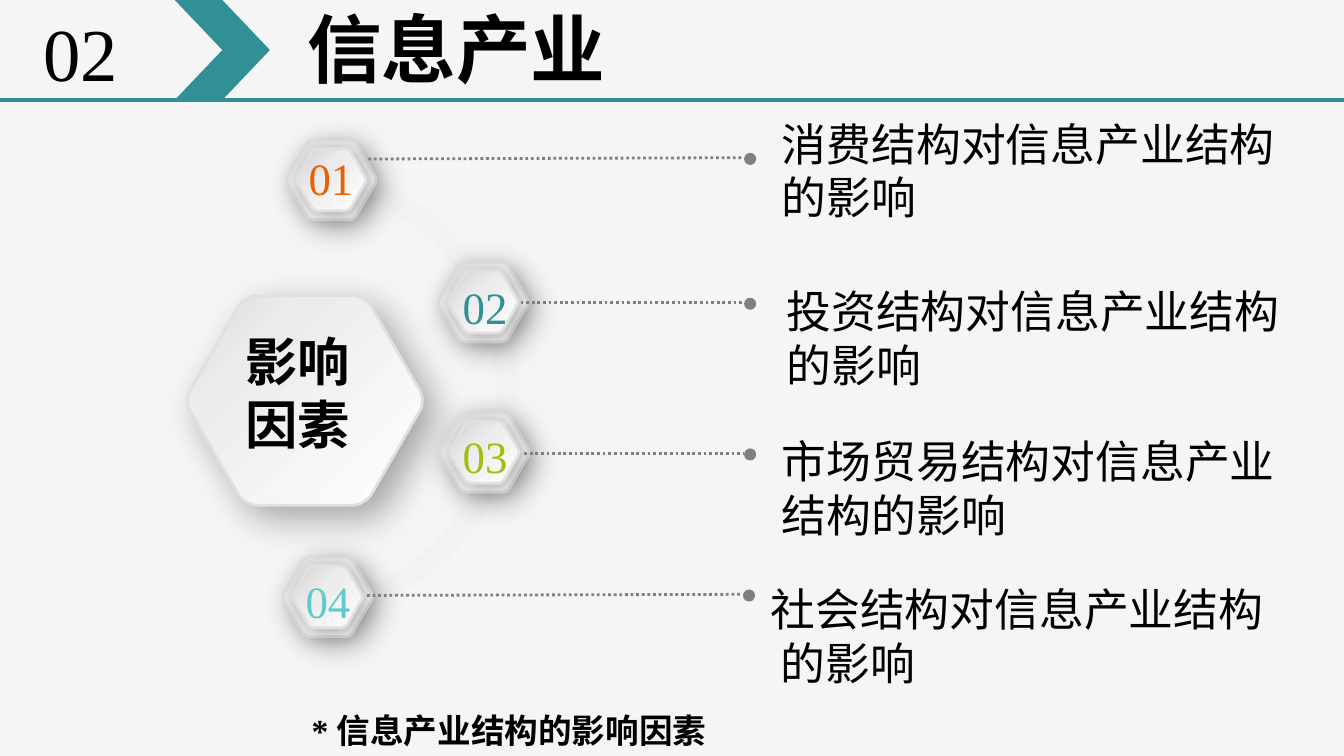
import pptx
import pptx.dml.color
import pptx.enum.dml
import pptx.enum.shapes
import pptx.enum.text
import pptx.oxml
import pptx.oxml.ns
import pptx.util

Pt = pptx.util.Pt
ALIGN = pptx.enum.text.PP_ALIGN
SHAPE = pptx.enum.shapes.MSO_SHAPE

FONT = "Times New Roman"
COLORS = {
    "background": "F5F5F5", "teal": "319095", "black": "000000",
    "orange": "EA6103", "green": "A0BF0D", "aqua": "5FCACB",
    "gray": "808080", "arc": "F2F2F2", "rim": "E0E0E0",
    "white": "FFFFFF", "light": "ECECEC", "shade": "D9D9D9", "deep": "D1D1D1",
}
OUTER_STOPS = [(0, "white"), (73, "light"), (100, "shade")]
INNER_STOPS = [(0, "white"), (60, "light"), (100, "deep")]
DOT_SIZE = 6.5

# badge left, top; label left, top; leader start x, start y, end x, end y;
# text left, top, width; number, colour, lines
FACTORS = [
    ((153.4, 74.9), (151.4, 77.8), (197.3, 85.2, 398.2, 84.5), (411.8, 58.7, 299.5),
     "01", "orange", ["消费结构对信息产业结构的影响"]),
    ((234.7, 140.4), (234, 146.9), (278.9, 162.1, 398.2, 162.1), (414.3, 148.3, 280),
     "02", "teal", ["投资结构对信息产业结构的影响"]),
    ((235.4, 220.9), (234, 226.8), (280.8, 242.8, 398.2, 242.8), (411.8, 229, 293.8),
     "03", "green", ["市场贸易结构对信息产业结构的影响"]),
    ((151.4, 298.3), (149.8, 304.6), (196.6, 319, 397.6, 318.4), (405.7, 308.2, 280.8),
     "04", "aqua", ["社会结构对信息产业结构", " 的影响"]),
]


def rgb(name):
    return pptx.dml.color.RGBColor.from_string(COLORS[name])


def add_xml(parent, xml):
    namespace = pptx.oxml.ns.nsdecls("a")
    tag, rest = xml[1:].split(" ", 1)
    parent.append(pptx.oxml.parse_xml(f"<{tag} {namespace} {rest}"))


def write_text(shape, lines, size, color="black", bold=False,
               align=ALIGN.LEFT, insets=(7.2, 3.6), wrap=True):
    frame = shape.text_frame
    frame.word_wrap = wrap
    frame.vertical_anchor = pptx.enum.text.MSO_ANCHOR.TOP
    frame.margin_left, frame.margin_right = Pt(insets[0]), Pt(5.8)
    frame.margin_top = frame.margin_bottom = Pt(insets[1])
    frame.text = "\n".join(lines)
    for paragraph in frame.paragraphs:
        paragraph.alignment = align
        paragraph.font.name = FONT
        paragraph.font.size = Pt(size)
        paragraph.font.bold = bold
        paragraph.font.color.rgb = rgb(color)


def add_text(slide, box, lines, size, **style):
    shape = slide.shapes.add_textbox(*map(Pt, box))
    write_text(shape, lines, size, **style)
    return shape


def add_line(slide, start, end, color, width):
    line = slide.shapes.add_connector(
        pptx.enum.shapes.MSO_CONNECTOR.STRAIGHT, *map(Pt, start + end))
    line.line.color.rgb = rgb(color)
    line.line.width = Pt(width)
    add_xml(line._element.spPr, "<a:effectLst />")
    return line


def fill_plain(shape, color):
    shape.shadow.inherit = False
    shape.fill.solid()
    shape.fill.fore_color.rgb = rgb(color)
    shape.line.fill.background()


def add_outline(slide, box, start, segments):
    """Closed outline in fractions of the box; one point is a line, three a curve."""
    left, top, width, height = box

    def place(point):
        return Pt(left + point[0] * width), Pt(top + point[1] * height)

    builder = slide.shapes.build_freeform(*place(start))
    builder.add_line_segments([place(p) for s in segments for p in s], close=True)
    shape = builder.convert_to_shape()
    qn = pptx.oxml.ns.qn
    steps = iter(shape._element.spPr.findall(".//" + qn("a:lnTo")))
    for segment in segments:
        first, *others = [next(steps) for _ in segment]
        if others:
            first.tag = qn("a:cubicBezTo")
            for step in others:
                first.append(step[0])
                step.getparent().remove(step)
    return shape


def add_hexagon(slide, box, stops, alpha, blur, distance):
    """Raised hexagon with rounded corners, lit from the lower right."""
    upper = [(0.7, 0), (0.73, 0), (0.765, 0.025), (0.78, 0.05)]
    side = [(0.985, 0.45), (1, 0.475), (1, 0.525), (0.985, 0.55)]
    right = [upper, side, [(x, 1 - y) for x, y in reversed(upper)]]
    left = [[(1 - x, 1 - y) for x, y in corner] for corner in right]
    segments = []
    for corner in right + left:
        segments += [[corner[0]] * 3, corner[1:]]
    shape = add_outline(slide, box, upper[0], segments[1:])
    shape.rotation = 180
    shape.line.color.rgb = rgb("rim")
    shape.line.width = Pt(1.5)
    shape.fill.gradient()
    shape.fill.gradient_angle = 315
    properties = shape._element.spPr
    stop_list = properties.find(".//" + pptx.oxml.ns.qn("a:gsLst"))
    for stop in list(stop_list):
        stop_list.remove(stop)
    for position, color in stops:
        add_xml(stop_list, f'<a:gs pos="{position * 1000}">'
                           f'<a:srgbClr val="{COLORS[color]}"/></a:gs>')
    shape.shadow.inherit = False
    add_xml(properties.find(pptx.oxml.ns.qn("a:effectLst")),
            f'<a:outerShdw blurRad="{Pt(blur)}" dist="{Pt(distance)}" dir="2700000" '
            f'algn="tl" rotWithShape="0"><a:srgbClr val="{COLORS["black"]}">'
            f'<a:alpha val="{alpha * 1000}"/></a:srgbClr></a:outerShdw>')


def add_header(slide, box, number, title):
    left, top, width, height = box
    add_line(slide, (left, top + height), (left + width, top + height), "teal", 2.25)
    placeholder = slide.shapes.title
    placeholder.left, placeholder.top = Pt(left + 152.8), Pt(top - 1.2)
    placeholder.width, placeholder.height = Pt(377), Pt(54.7)
    write_text(placeholder, [title], 40, bold=True, insets=(11.8, 2.9))
    chevron = slide.shapes.add_shape(
        SHAPE.CHEVRON, Pt(left + 93.6), Pt(top), Pt(51), Pt(height))
    fill_plain(chevron, "teal")
    add_text(slide, (left + 17.5, top + 0.7, 52.6, 54.7), [number], 40,
             insets=(5.8, 2.9), wrap=False)


def add_arc(slide, box):
    """Right half of a ring."""
    outer = [(0.11, 0), (0.61, 0.03), (1, 0.24), (1, 0.5)]
    inner = [(0.1, 0.95), (0.55, 0.93), (0.9, 0.74), (0.9, 0.5)]

    def mirror(points):
        return [(x, 1 - y) for x, y in reversed(points)][1:]

    shape = add_outline(slide, box, (0, 0), [
        outer[:1], outer[1:], mirror(outer), [(0, 1)], [(0, 0.95)],
        inner[:1], inner[1:], mirror(inner), [(0, 0.05)]])
    fill_plain(shape, "arc")


def add_hub(slide, box, lines):
    left, top, width, height = box
    add_hexagon(slide, box, OUTER_STOPS, 32, 20, 9)
    add_text(slide, (left + 24.5, top + 14.4, 71.3, 74.9), lines, 28,
             bold=True, wrap=False)


def add_badge(slide, box, label_place, number, color):
    left, top, width, height = box
    add_hexagon(slide, box, OUTER_STOPS, 32, 16, 5)
    add_hexagon(slide, (left + 5.4, top + 4.8, width - 10.8, height - 9.6),
                INNER_STOPS, 33, 12, 3)
    add_text(slide, label_place + (51.8, 35.3), [number], 24, color=color,
             align=ALIGN.CENTER, insets=(5.8, 2.9))


def add_leader(slide, start_x, start_y, end_x, end_y):
    line = add_line(slide, (start_x, start_y), (end_x, end_y), "gray", 1.5)
    line.line.dash_style = pptx.enum.dml.MSO_LINE.ROUND_DOT
    dot = slide.shapes.add_shape(SHAPE.OVAL, Pt(end_x + 0.4), Pt(end_y - 2.6),
                                 Pt(DOT_SIZE), Pt(DOT_SIZE))
    fill_plain(dot, "gray")


def main():
    presentation = pptx.Presentation()
    presentation.slide_width, presentation.slide_height = Pt(720), Pt(405)
    slide = presentation.slides.add_slide(presentation.slide_layouts[5])
    slide.background.fill.solid()
    slide.background.fill.fore_color.rgb = rgb("background")

    add_header(slide, (0, 0, 720, 53.6), "02", "信息产业")
    add_arc(slide, (155.5, 88.6, 122.4, 244))
    add_hub(slide, (100, 158.4, 126.7, 112.3), ["影响", "因素"])
    for badge, label, leader, text, number, color, lines in FACTORS:
        add_badge(slide, badge + (48.2, 42.8), label, number, color)
        add_leader(slide, *leader)
        add_text(slide, text + (65.5,), lines, 24, wrap=len(lines) == 1)
    caption = add_text(slide, (159.8, 355, 248.4, 44.6),
                       ["* 信息产业结构的影响因素"], 18, bold=True)
    caption.text_frame.paragraphs[0].line_spacing = 2.0
    presentation.save("out.pptx")


if __name__ == "__main__":
    main()
